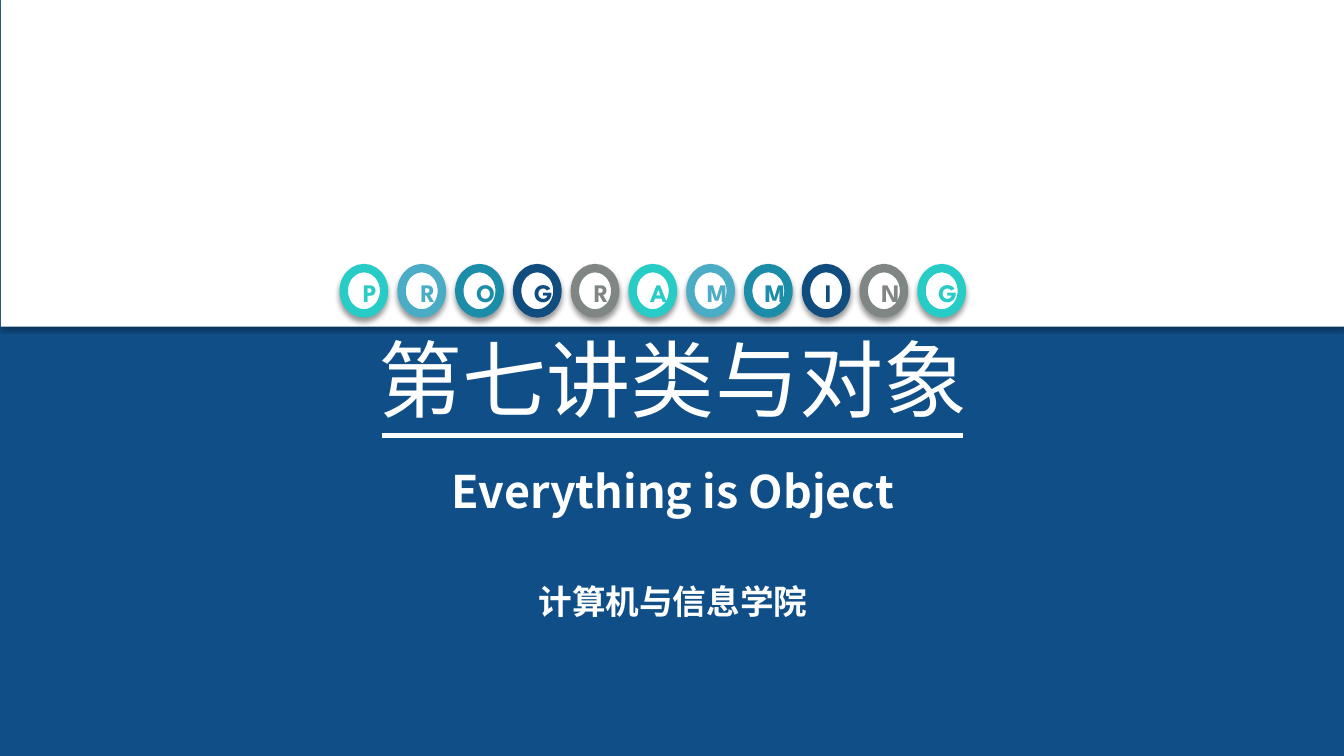
from lxml import etree
from pptx import Presentation
from pptx.dml.color import RGBColor
from pptx.enum import shapes, text
from pptx.oxml.ns import qn
from pptx.util import Inches, Pt

WORD = "PROGRAMMING"
RING_COLORS = ["26CCC5", "4BACC6", "1B8DA8", "104D7E", "808684"]
LETTER_WIDTHS = {"P": 0.22, "R": 0.22, "O": 0.26, "G": 0.26,
                 "A": 0.25, "M": 0.27, "I": 0.17, "N": 0.25}
NAVY, WHITE = "104E87", "FFFFFF"
SANS, DISPLAY = "Noto Sans CJK JP", "League Spartan"
HEADINGS = [
    ("第七讲类与对象", 3.2, 1.11, 60, SANS, False, None),
    ("Everything is Object", 4.55, 0.64, 32, SANS, True, None),
    ("计算机与信息学院", 5.76, 0.46, 24, DISPLAY, True, 0.9),
]
WIDTH, HEIGHT = 13.33, 7.5
RING_LEFT, RING_TOP, RING_STEP = 3.41, 2.66, 0.573
RING_WIDTH, RING_HEIGHT = 0.4, 0.45


def color(value):
    return RGBColor.from_string(value)


def set_effects(item, shadow=None):
    effects = etree.SubElement(item._element.spPr, qn("a:effectLst"))
    if shadow:
        alpha, blur, distance = shadow
        outer = etree.SubElement(
            effects, qn("a:outerShdw"), blurRad=str(Pt(blur)),
            dist=str(Pt(distance)), dir="5400000", algn="t", rotWithShape="0")
        tint = etree.SubElement(outer, qn("a:srgbClr"), val="000000")
        etree.SubElement(tint, qn("a:alpha"), val=str(alpha * 1000))


def add_white_shape(parent, kind, place, shadow, line=None):
    shape = parent.add_shape(kind, *map(Inches, place))
    shape.fill.solid()
    shape.fill.fore_color.rgb = color(WHITE)
    if line:
        shape.line.color.rgb = color(line)
        shape.line.width = Pt(6)
    else:
        shape.line.fill.background()
    set_effects(shape, shadow)


def add_text(parent, words, place, size, font, tint, bold=True, wrap=True):
    box = parent.add_textbox(*map(Inches, place))
    frame = box.text_frame
    frame.word_wrap = wrap
    frame.auto_size = text.MSO_AUTO_SIZE.SHAPE_TO_FIT_TEXT
    para = frame.paragraphs[0]
    para.text = words
    para.alignment = text.PP_ALIGN.CENTER
    para.font.name = font
    para.font.size = Pt(size)
    para.font.bold = bold
    para.font.color.rgb = color(tint)
    return para


deck = Presentation()
deck.slide_width, deck.slide_height = Inches(WIDTH), Inches(HEIGHT)
page = deck.slides.add_slide(deck.slide_layouts[6])
page.background.fill.solid()
page.background.fill.fore_color.rgb = color(NAVY)

add_white_shape(page.shapes, shapes.MSO_SHAPE.RECTANGLE,
                (0.01, 0, WIDTH, 3.24), (35, 3.1, 1.8))

for words, top, height, size, font, bold, spacing in HEADINGS:
    para = add_text(page.shapes, words, (0.01, top, WIDTH, height),
                    size, font, WHITE, bold)
    para.line_spacing = spacing

underline = page.shapes.add_connector(
    shapes.MSO_CONNECTOR.STRAIGHT,
    *map(Inches, (3.79, 4.32, 9.55, 4.32)))
underline.line.color.rgb = color(WHITE)
underline.line.width = Pt(3)
set_effects(underline)

for index, letter in enumerate(WORD):
    tint = RING_COLORS[index % len(RING_COLORS)]
    left = RING_LEFT + index * RING_STEP
    badge = page.shapes.add_group_shape().shapes
    add_white_shape(badge, shapes.MSO_SHAPE.OVAL,
                    (left, RING_TOP, RING_WIDTH, RING_HEIGHT),
                    (40, 4, 3), tint)
    width = LETTER_WIDTHS[letter]
    add_text(badge, letter,
             (left + (RING_WIDTH - width) / 2, 2.7, width, 0.28),
             18, DISPLAY, tint, wrap=False)

deck.save("out.pptx")
